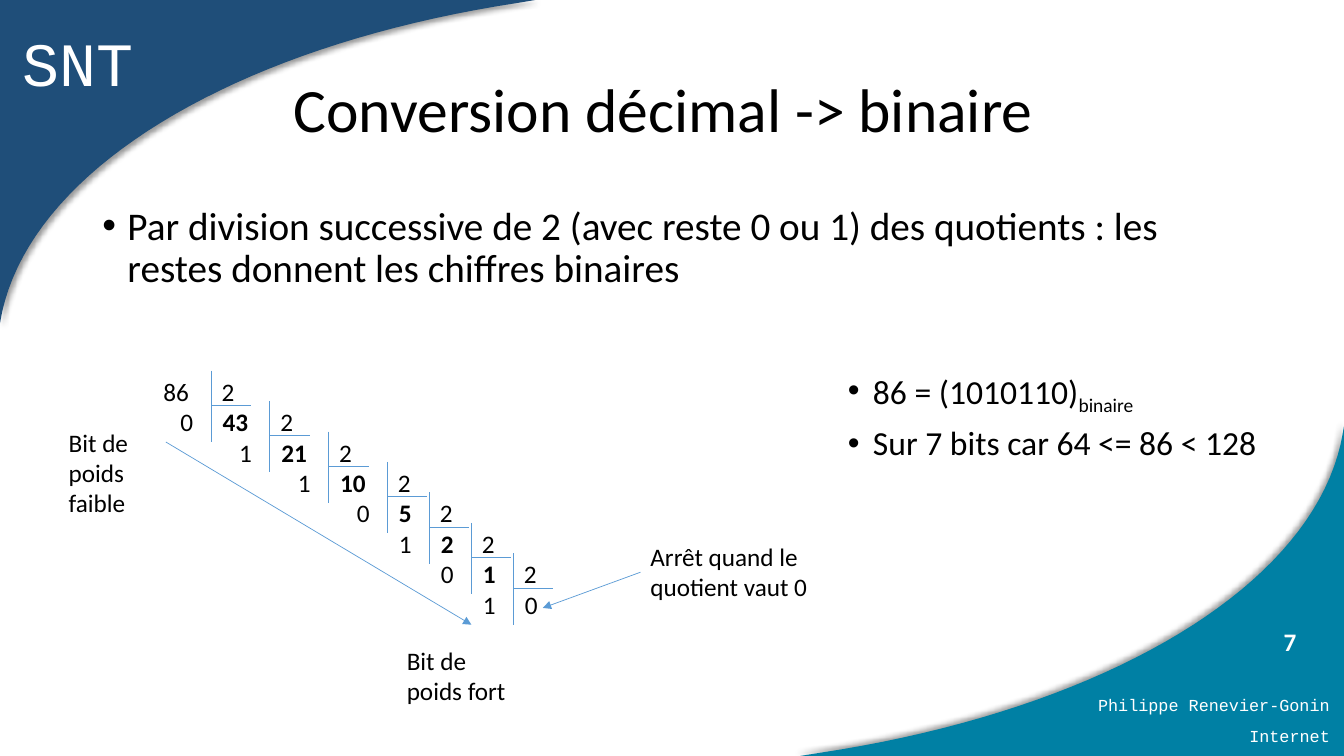
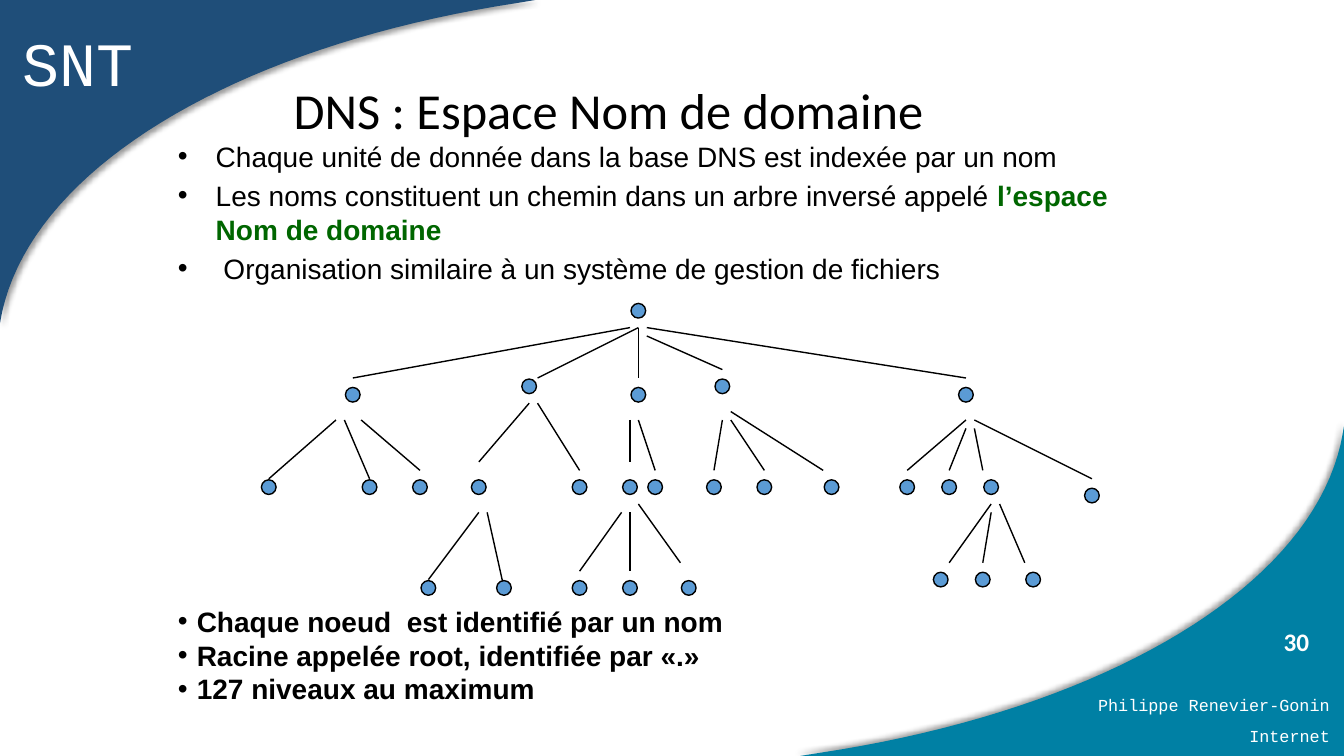
"""Two computer science slides: binary conversion and the DNS name tree."""
from lxml import etree
from pptx import Presentation
from pptx import util as u
from pptx.dml.color import RGBColor
from pptx.enum import shapes, text
from pptx.oxml.ns import qn

PX = 9525
COLORS = {"navy": "1F4E79", "teal": "0080A4", "blue": "5B9BD5",
          "green": "006600", "black": "000000", "white": "FFFFFF"}
LEFT, RIGHT = text.PP_ALIGN.LEFT, text.PP_ALIGN.RIGHT

CORNERS = [
    {"color": "teal", "angle": 225, "edge": [(1280, 720), (762, 720)],
     "curve": [(781, 717), (1053, 676), (1255, 557), (1279, 412)], "end": (1280, 406)},
    {"color": "navy", "angle": 45, "edge": [(0, 0), (510, 0)],
     "curve": [(492, 3), (223, 44), (23, 163), (0, 308)], "end": (0, 314)},
]
BANNERS = [
    ("SNT", (12, 19, 126, 81), 44, LEFT),
    ("Philippe Renevier-Gonin", (856, 657, 420, 29), 12, RIGHT),
    ("Internet", (856, 686, 420, 29), 12, RIGHT),
]
TITLE_BOX = (270, 38, 923, 139)
NUMBER_BOX = (1213, 573, 67, 75)

METHOD = ["Par division successive de 2 (avec reste 0 ou 1) des quotients : "
          "les restes donnent les chiffres binaires"]
RESULT = [[("86 = (1010110)", ""), ("binaire", "sub")],
          "Sur 7 bits car 64 <= 86 < 128"]
LABELS = [
    ("Bit de poids faible", (56, 402, 96, 97)),
    ("Bit de poids fort", (378, 610, 114, 68)),
    ("Arrêt quand le quotient vaut 0", (610, 511, 180, 68)),
]
ARROWS = [(158, 421, 449, 595), (610, 545, 517, 579)]
NUMBER, BASE = 86, 2
FIRST_BAR, ROW = (201, 353), 29

DNS_FACTS = [
    "Chaque unité de donnée dans la base DNS est indexée par un nom",
    [("Les noms constituent un chemin dans un arbre inversé appelé ", ""),
     ("l’espace Nom de domaine", "accent")],
    " Organisation similaire à un système de gestion de fichiers",
]
NODE_FACTS = ["Chaque noeud  est identifié par un nom",
              "Racine appelée root, identifiée par «.»",
              "127 niveaux au maximum"]
CELL, NODE = 8, 14
NODE_ROWS = [
    (37, [76]), (46, [63, 86]), (47, [42, 76, 115]),
    (58, [32, 44, 50, 57, 69, 75, 78, 85, 91, 99, 108, 113, 118]),
    (59, [130]), (69, [112, 117, 123]), (70, [51, 60, 69, 75, 82]),
]
BRANCHES = [
    (75, 39, 42, 45), (76, 39, 64, 45), (76, 39, 76, 45), (77, 40, 86, 44), (77, 39, 115, 45),
    (40, 50, 32, 57), (41, 50, 44, 57), (43, 50, 50, 56),
    (63, 48, 57, 55), (64, 48, 69, 56),
    (75, 50, 75, 55), (76, 50, 78, 56),
    (86, 50, 85, 56), (87, 50, 91, 56), (87, 49, 98, 56),
    (115, 50, 108, 56), (115, 51, 113, 56), (116, 51, 117, 56), (116, 50, 130, 57),
    (57, 61, 51, 69), (58, 61, 60, 70),
    (74, 61, 69, 68), (75, 61, 75, 68), (76, 60, 81, 67),
    (118, 60, 113, 67), (118, 61, 117, 67), (119, 60, 122, 67),
]


def px(*values):
    return [round(value * PX) for value in values]


def rgb(name):
    return RGBColor.from_string(COLORS[name])


def style(font, size, name="Calibri", color="black", bold=False):
    font.size, font.name, font.bold = u.Pt(size), name, bold
    font.color.rgb = rgb(color)


def add_bullet(para, indent):
    props = para._p.get_or_add_pPr()
    props.set("marL", str(indent * PX))
    props.set("indent", str(-indent * PX))
    etree.SubElement(props, qn("a:buFont"), typeface="Arial")
    etree.SubElement(props, qn("a:buChar"), char="•")


def write(page, paras, place, size, name="Calibri", color="black", bold=False, align=LEFT,
          indent=0, before=0, spacing=1.0, inset=True, anchor=text.MSO_ANCHOR.TOP):
    frame = page.shapes.add_textbox(*px(*place)).text_frame
    frame.word_wrap, frame.vertical_anchor = True, anchor
    if not inset:
        frame.margin_left = frame.margin_right = frame.margin_top = frame.margin_bottom = 0
    for index, spans in enumerate(paras):
        para = frame.paragraphs[0] if index == 0 else frame.add_paragraph()
        para.alignment, para.line_spacing = align, spacing
        para.space_before = u.Pt(before)
        if indent:
            add_bullet(para, indent)
        style(para.font, size, name, color, bold)
        for words, role in [(spans, "")] if isinstance(spans, str) else spans:
            span = para.add_run()
            span.text = words
            style(span.font, size, name, "green" if role == "accent" else color,
                  bold or role == "accent")
            if role == "sub":
                span._r.get_or_add_rPr().set("baseline", "-25000")


def draw_line(page, ends, color, width, arrow=False):
    line = page.shapes.add_connector(shapes.MSO_CONNECTOR.STRAIGHT, *px(*ends))
    line.line.color.rgb = rgb(color)
    line.line.width = u.Pt(width)
    props = line.element.spPr
    if arrow:
        etree.SubElement(props.find(qn("a:ln")), qn("a:tailEnd"), type="triangle")
    etree.SubElement(props, qn("a:effectLst"))


def bezier(points, steps=40):
    weights = (1, 3, 3, 1)
    for step in range(steps + 1):
        t = step / steps
        yield tuple(sum(w * (1 - t) ** (3 - k) * t ** k * point[axis]
                        for k, (w, point) in enumerate(zip(weights, points)))
                    for axis in (0, 1))


def draw_corner(page, corner):
    start, *rest = corner["edge"]
    builder = page.shapes.build_freeform(*px(*start), scale=1.0)
    outline = rest + list(bezier(corner["curve"])) + [corner["end"]]
    builder.add_line_segments([px(*point) for point in outline], close=True)
    shape = builder.convert_to_shape()
    shape.fill.solid()
    shape.fill.fore_color.rgb = rgb(corner["color"])
    shape.line.fill.background()
    shape.shadow.inherit = False
    shadow = etree.SubElement(
        shape.element.spPr.find(qn("a:effectLst")), qn("a:outerShdw"),
        blurRad=str(u.Pt(4)), dist=str(u.Pt(3)), dir=str(corner["angle"] * 60000),
        algn="ctr", rotWithShape="0")
    black = etree.SubElement(shadow, qn("a:srgbClr"), val=COLORS["black"])
    etree.SubElement(black, qn("a:alpha"), val="40000")


def move_decor_to_layout(page, layout):
    for corner in CORNERS:
        draw_corner(page, corner)
    for words, place, size, align in BANNERS:
        write(page, [words], place, size, "Courier New", "white", align=align)
    for shape in list(page.shapes):
        if not shape.is_placeholder:
            layout.shapes.element.append(shape.element)


def set_heading(page, heading, size, number):
    title = page.shapes.title
    title.left, title.top, title.width, title.height = px(*TITLE_BOX)
    title.text_frame.text = heading
    title.text_frame.vertical_anchor = text.MSO_ANCHOR.MIDDLE
    para = title.text_frame.paragraphs[0]
    para.alignment, para.line_spacing = LEFT, 0.9
    style(para.font, size)
    write(page, [str(number)], NUMBER_BOX, 18, color="white", bold=True,
          anchor=text.MSO_ANCHOR.MIDDLE)


def draw_divisions(page):
    def put(value, x, y, align=LEFT, bold=False):
        left = x - 40 if align == RIGHT else x
        write(page, [str(value)], (left, y + 5, 40, ROW), 18, align=align,
              bold=bold, inset=False)

    x, y = FIRST_BAR
    dividend = NUMBER
    put(dividend, x - 21, y, RIGHT)
    while dividend:
        quotient, remainder = divmod(dividend, BASE)
        put(BASE, x + 10, y)
        put(remainder, x - 17, y + ROW, RIGHT)
        put(quotient, x + 11, y + ROW, bold=quotient > 0)
        draw_line(page, (x, y, x, y + 68), "blue", 0.5)
        draw_line(page, (x, y + 33, x + 38, y + 33), "blue", 0.5)
        x += 56 if quotient > 9 else 40
        y += ROW
        dividend = quotient


def build_conversion(page):
    set_heading(page, "Conversion décimal -> binaire", 44, 7)
    write(page, METHOD, (88, 192, 1104, 117), 28, indent=24, before=10, spacing=0.9)
    draw_divisions(page)
    for ends in ARROWS:
        draw_line(page, ends, "blue", 0.5, arrow=True)
    for words, place in LABELS:
        write(page, [words], place, 18)
    write(page, RESULT, (798, 349, 427, 111), 24, indent=24, before=10, spacing=0.9)


def build_dns(page):
    set_heading(page, "DNS : Espace Nom de domaine", 36, 30)
    write(page, DNS_FACTS, (160, 128, 928, 144), 20, "Arial", indent=36, before=4)
    for branch in BRANCHES:
        draw_line(page, [CELL * value for value in branch], "black", 1)
    for row, columns in NODE_ROWS:
        for column in columns:
            corner = [CELL * value - NODE / 2 for value in (column, row)]
            node = page.shapes.add_shape(shapes.MSO_SHAPE.OVAL, *px(*corner, NODE, NODE))
            node.shadow.inherit = False
            node.fill.solid()
            node.fill.fore_color.rgb = rgb("blue")
            node.line.color.rgb = rgb("black")
            node.line.width = u.Pt(1)
    write(page, NODE_FACTS, (160, 571, 562, 107), 20, "Arial", bold=True, indent=18)


def main():
    deck = Presentation()
    deck.slide_width, deck.slide_height = px(1280, 720)
    layout = deck.slide_layouts[5]
    pages = [deck.slides.add_slide(layout) for _ in range(2)]
    move_decor_to_layout(pages[0], layout)
    for page, build in zip(pages, (build_conversion, build_dns)):
        build(page)
    deck.save("out.pptx")


if __name__ == "__main__":
    main()
